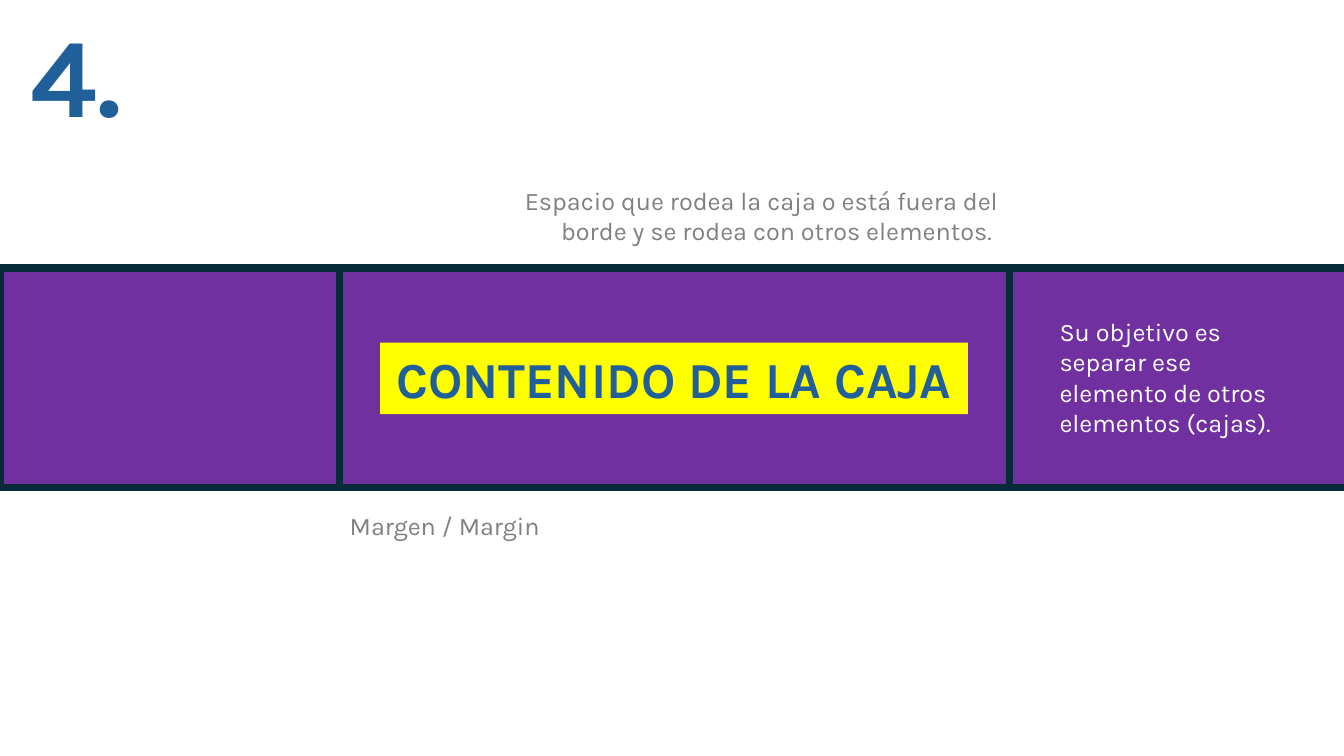
import pptx
import pptx.dml.color
import pptx.enum.shapes
import pptx.enum.text
import pptx.util

Inches = pptx.util.Inches
RGBColor = pptx.dml.color.RGBColor
Align = pptx.enum.text.PP_ALIGN

PURPLE = RGBColor(0x70, 0x30, 0xA0)
NAVY = RGBColor(0x09, 0x2A, 0x39)
BLUE = RGBColor(0x21, 0x5F, 0x9A)
GRAY = RGBColor(0x80, 0x80, 0x80)
YELLOW = RGBColor(0xFF, 0xFF, 0x00)
WHITE = RGBColor(0xFF, 0xFF, 0xFF)

BAND_TOP, BAND_HEIGHT = 2.66, 2.18


def write_text(shape, text, size, color, bold=False, align=Align.LEFT):
    """Fill a shape with one formatted paragraph."""
    frame = shape.text_frame
    frame_format = {
        "word_wrap": True,
        "auto_size": pptx.enum.text.MSO_AUTO_SIZE.NONE,
        "vertical_anchor": pptx.enum.text.MSO_ANCHOR.TOP,
    }
    for name, value in frame_format.items():
        setattr(frame, name, value)
    paragraph = frame.paragraphs[0]
    paragraph.alignment = align
    run = paragraph.add_run()
    run.text = text
    font_format = {"name": "Karla", "size": pptx.util.Pt(size), "bold": bold}
    for name, value in font_format.items():
        setattr(run.font, name, value)
    run.font.color.rgb = color


def add_title(slide, text, left, top, width, height):
    title = slide.shapes.title
    position = {"left": left, "top": top, "width": width, "height": height}
    for name, value in position.items():
        setattr(title, name, Inches(value))
    write_text(title, text, 80, BLUE, bold=True, align=Align.CENTER)


def add_box(slide, left, top, width, height, fill, line=None):
    box = slide.shapes.add_shape(
        pptx.enum.shapes.MSO_SHAPE.RECTANGLE,
        Inches(left), Inches(top), Inches(width), Inches(height))
    box.shadow.inherit = False
    box.fill.solid()
    box.fill.fore_color.rgb = fill
    if line is None:
        box.line.fill.background()
    else:
        box.line.color.rgb = line
        box.line.width = pptx.util.Pt(5.25)
    return box


def add_note(slide, text, left, top, width, height, color, align=Align.LEFT):
    note = slide.shapes.add_textbox(
        Inches(left), Inches(top), Inches(width), Inches(height))
    write_text(note, text, 18, color, align=align)


def main():
    presentation = pptx.Presentation()
    presentation.slide_width = Inches(13.33)
    presentation.slide_height = Inches(7.5)
    slide = presentation.slides.add_slide(presentation.slide_layouts[5])

    add_title(slide, "4.", 0, 0, 1.51, 1.45)

    # Neighbouring boxes, then the middle box on top of them
    for left, width in ((0, 3.37), (10.01, 3.37), (3.37, 6.64)):
        add_box(slide, left, BAND_TOP, width, BAND_HEIGHT, PURPLE, NAVY)

    # Box content
    content = add_box(slide, 3.77, 3.4, 5.83, 0.71, YELLOW)
    write_text(content, "CONTENIDO DE LA CAJA", 36, BLUE, bold=True,
               align=Align.CENTER)

    # Explanations of the margin
    add_note(slide, "Margen / Margin", 3.37, 5.01, 3.79, 0.4, GRAY)
    add_note(slide, "Espacio que rodea la caja o está fuera del borde "
             "y se rodea con otros elementos. ",
             4.4, 1.79, 5.6, 0.71, GRAY, Align.RIGHT)
    add_note(slide, "Su objetivo es separar ese elemento de otros "
             "elementos (cajas).", 10.41, 3.09, 2.32, 1.31, WHITE)

    presentation.save("out.pptx")


if __name__ == "__main__":
    main()
